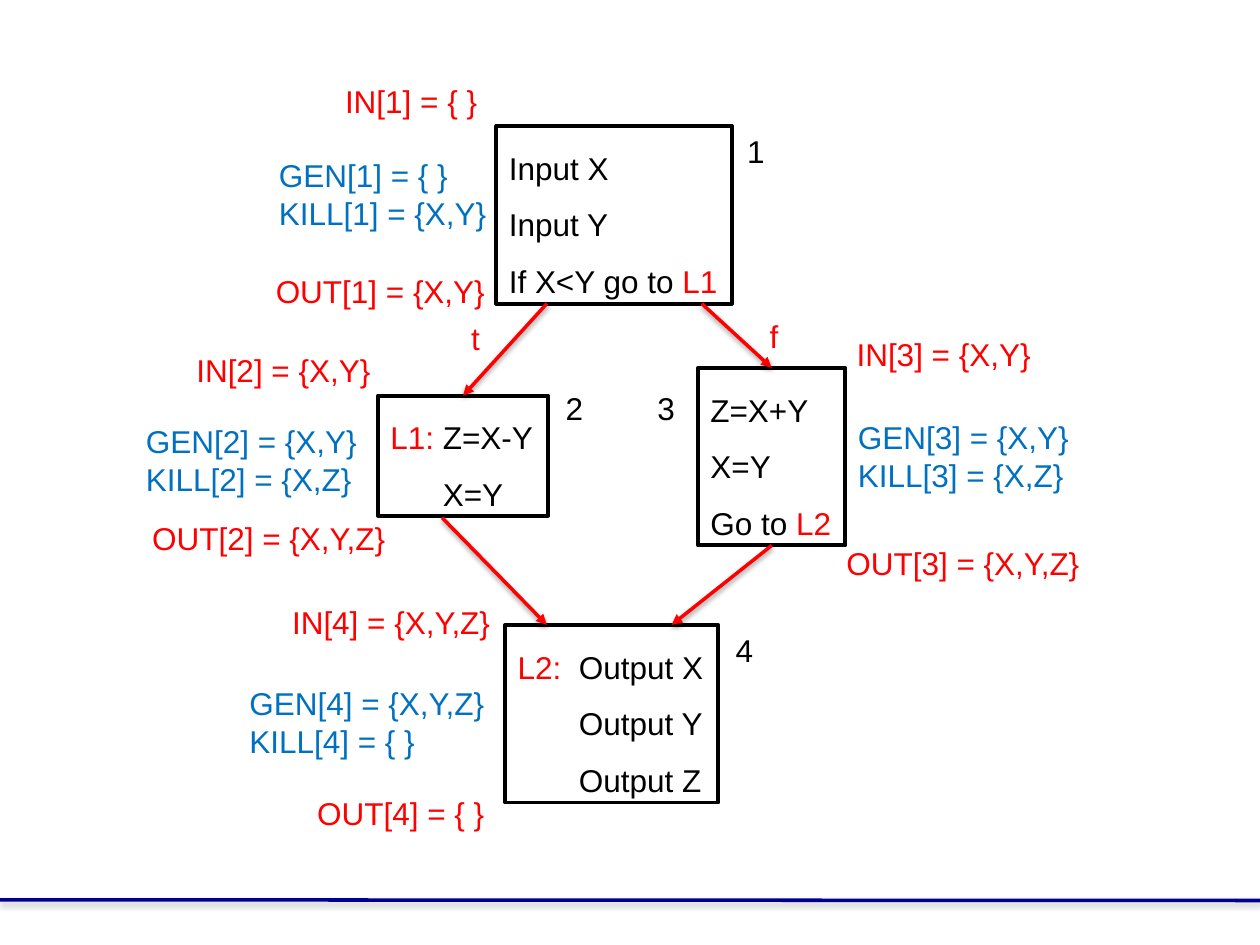
from lxml.etree import SubElement
from pptx import Presentation
from pptx.dml.color import RGBColor
from pptx.enum.shapes import MSO_CONNECTOR, MSO_SHAPE
from pptx.enum.text import MSO_AUTO_SIZE
from pptx.oxml import parse_xml
from pptx.oxml.ns import nsdecls, qn
from pptx.util import Pt

COLORS = {"black": "000000", "red": "FF0000", "blue": "0070C0",
          "navy": "000090", "gray": "808080"}


def write_lines(shape, lines, spacing=None, indent=0):
    """Fill a shape with lines, each a list of (text, color) runs; indent all but the first."""
    frame = shape.text_frame
    frame.word_wrap = False
    frame.auto_size = MSO_AUTO_SIZE.SHAPE_TO_FIT_TEXT
    for number, runs in enumerate(lines):
        paragraph = frame.add_paragraph() if number else frame.paragraphs[0]
        if spacing:
            paragraph.line_spacing = spacing
        properties = paragraph._p.get_or_add_pPr()
        properties.set("algn", "l")
        if number and indent:
            properties.set("marL", str(Pt(indent)))
        for text, color in runs:
            run = paragraph.add_run()
            run.text = text
            run.font.name = "Arial"
            run.font.size = Pt(18)
            run.font.color.rgb = RGBColor.from_string(COLORS[color])


def add_line(start, end, color, shadow_color):
    connector = slide.shapes.add_connector(
        MSO_CONNECTOR.STRAIGHT, *(Pt(value) for value in start + end))
    connector.line.color.rgb = RGBColor.from_string(COLORS[color])
    connector.line.width = Pt(2)
    connector._element.spPr.append(parse_xml(
        f'<a:effectLst {nsdecls("a")}><a:outerShdw blurRad="{Pt(3.1)}" dist="{Pt(1.6)}" '
        f'dir="5400000" rotWithShape="0"><a:srgbClr val="{COLORS[shadow_color]}">'
        '<a:alpha val="38000"/></a:srgbClr></a:outerShdw></a:effectLst>'))
    return connector


presentation = Presentation()
presentation.slide_width = Pt(720)
presentation.slide_height = Pt(540)
slide = presentation.slides.add_slide(presentation.slide_layouts[6])

add_line((0, 514.2), (720, 514.6), "navy", "gray")

# Basic blocks: left, top, width, height, continuation indent, lines of code
blocks = {
    1: (283.7, 72, 134.6, 101.5, 0, [
        [("Input X", "black")],
        [("Input Y", "black")],
        [("If X<Y go to ", "black"), ("L1", "red")]]),
    2: (216, 226.1, 97.2, 68.6, 30, [
        [("L1: ", "red"), ("Z=X-Y", "black")],
        [("X=Y", "black")]]),
    3: (398.9, 210.2, 84.2, 101.5, 0, [
        [("Z=X+Y", "black")],
        [("X=Y", "black")],
        [("Go to ", "black"), ("L2", "red")]]),
    4: (288.7, 357.1, 121.7, 101.5, 35, [
        [("L2:", "red"), ("  Output X", "black")],
        [("Output Y", "black")],
        [("Output Z", "black")]]),
}
boxes = {}
for number, (left, top, width, height, indent, code) in blocks.items():
    box = slide.shapes.add_shape(
        MSO_SHAPE.RECTANGLE, Pt(left), Pt(top), Pt(width), Pt(height))
    box.shadow.inherit = False
    box.fill.background()
    box.line.color.rgb = RGBColor.from_string(COLORS["black"])
    box.line.width = Pt(2.25)
    write_lines(box, code, spacing=1.5, indent=indent)
    boxes[number] = box

# Control flow: start, end, block joined at its bottom, block joined at its top
edges = [
    ((312.5, 173.5), (264.6, 226.1), None, 2),
    ((401, 173.5), (441, 210.2), None, 3),
    ((441, 311.7), (383.8, 357.1), 3, None),
    ((252.7, 295.9), (312.5, 357.1), None, None),
]
for start, end, source, target in edges:
    arrow = add_line(start, end, "red", "black")
    SubElement(arrow.line._get_or_add_ln(), qn("a:tailEnd"), type="triangle")
    if source:
        arrow.begin_connect(boxes[source], 2)
    if target:
        arrow.end_connect(boxes[target], 0)

# Labels: left, top, width, color, lines
labels = [
    (262.1, 178.6, 19.4, "red", ["t"]),
    (432.7, 177.4, 19.4, "red", ["f"]),
    (419.8, 72, 24.5, "black", ["1"]),
    (316.1, 218.9, 24.5, "black", ["2"]),
    (368.6, 218.9, 24.5, "black", ["3"]),
    (413.3, 357.1, 24.5, "black", ["4"]),
    (190.1, 43.2, 90.7, "red", ["IN[1] = { }"]),
    (152.3, 85.7, 133.9, "blue", ["GEN[1] = { }", "KILL[1] = {X,Y}"]),
    (150.5, 151.9, 138.2, "red", ["OUT[1] = {X,Y}"]),
    (105.1, 197.3, 117.4, "red", ["IN[2] = {X,Y}"]),
    (76.3, 237.6, 138.2, "blue", ["GEN[2] = {X,Y}", "KILL[2] = {X,Z}"]),
    (79.9, 293, 149, "red", ["OUT[2] = {X,Y,Z}"]),
    (482.4, 187.9, 115.2, "red", ["IN[3] = {X,Y}"]),
    (483.1, 235.4, 136.1, "blue", ["GEN[3] = {X,Y}", "KILL[3] = {X,Z}"]),
    (476.6, 307.4, 149, "red", ["OUT[3] = {X,Y,Z}"]),
    (159.8, 341.3, 128.9, "red", ["IN[4] = {X,Y,Z}"]),
    (135.4, 387.4, 149.8, "blue", ["GEN[4] = {X,Y,Z}", "KILL[4] = { }"]),
    (174.2, 450, 110.9, "red", ["OUT[4] = { }"]),
]
for left, top, width, color, lines in labels:
    height = 7.2 + 21.8 * len(lines)
    label = slide.shapes.add_textbox(Pt(left), Pt(top), Pt(width), Pt(height))
    write_lines(label, [[(line, color)] for line in lines])

presentation.save("out.pptx")
